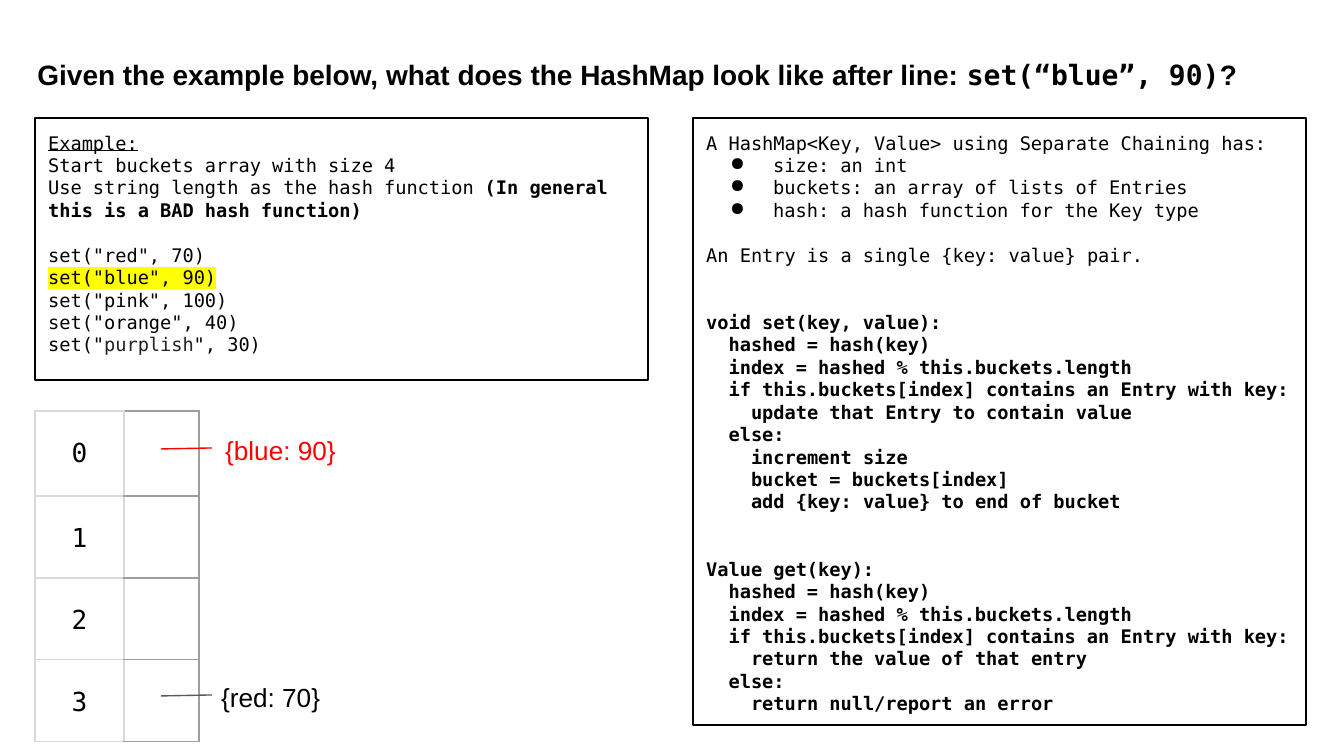
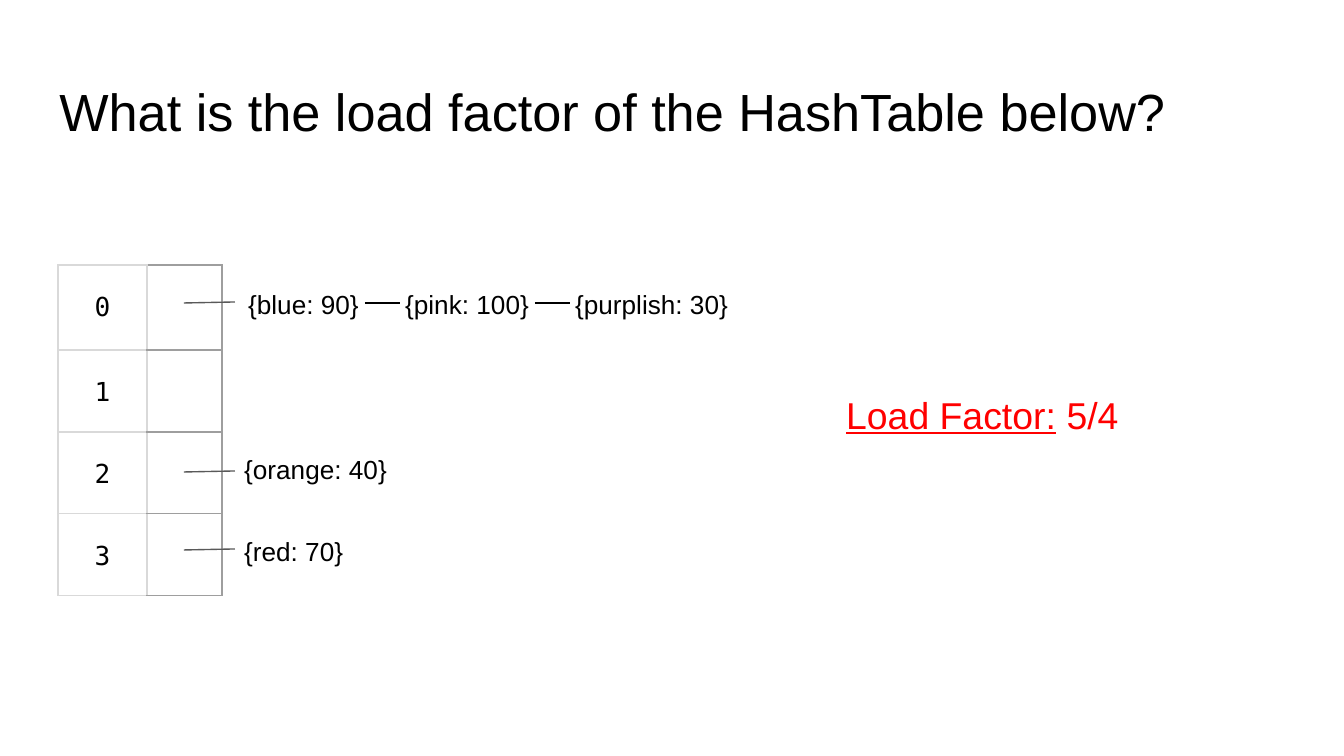
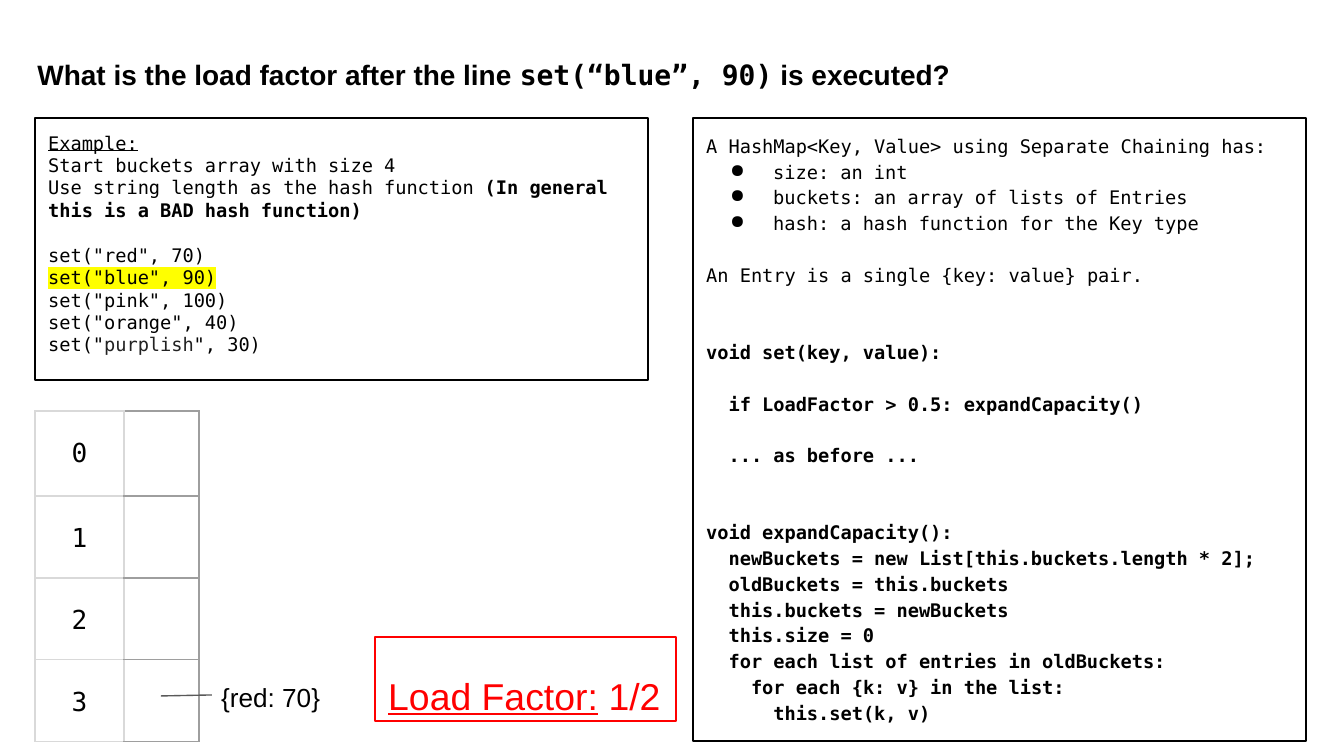
from lxml import etree
from pptx import Presentation, util as u
from pptx.dml.color import RGBColor
from pptx.enum import shapes, text
from pptx.oxml.ns import qn

PX = 914400 / 134.4
COLORS = {"ink": "000000", "red": "FF0000", "soft": "222222", "pointer": "595959",
          "grid": "D9D9D9", "edge": "9E9E9E", "mark": "FFFF00"}
SANS, MONO = "Arial", "DejaVu Sans Mono"
INSET = 13.44
CHAR = 11.2  # width of one code character
BULLET = "\u25cf"
ROW_HEIGHTS = [85, 82, 82, 82]
COLUMN_WIDTHS = [89, 75]
# row: drop of the pointer, then left (from the table) and drop of its label
POINTERS = {0: (38, 177, 10), 2: (40, 173, 8), 3: (36, 173, 8)}
CHAIN_LEFTS = [177, 334, 504]

LEFT_BOX = (35, 118, 613, 262)
TABLE_AT = (35, 411)
EXAMPLE = [
    [("Example:", {"underline": True})],
    "Start buckets array with size 4",
    ["Use string length as the hash function ",
     ("(In general this is a BAD hash function)", {"bold": True})],
    "",
    'set("red", 70)',
    [('set("blue", 90)', {"highlight": "mark"})],
    'set("pink", 100)',
    'set("orange", 40)',
    ['set("', ("purplish", {"color": "soft"}), '", 30)'],
]
HASHMAP_NOTES = f"""A HashMap<Key, Value> using Separate Chaining has:
{BULLET}size: an int
{BULLET}buckets: an array of lists of Entries
{BULLET}hash: a hash function for the Key type

An Entry is a single {{key: value}} pair.""".splitlines()
SET_AND_GET = """

void set(key, value):
  hashed = hash(key)
  index = hashed % this.buckets.length
  if this.buckets[index] contains an Entry with key:
    update that Entry to contain value
  else:
    increment size
    bucket = buckets[index]
    add {key: value} to end of bucket


Value get(key):
  hashed = hash(key)
  index = hashed % this.buckets.length
  if this.buckets[index] contains an Entry with key:
    return the value of that entry
  else:
    return null/report an error"""
SET_AND_EXPAND = """

void set(key, value):

  if LoadFactor > 0.5: expandCapacity()

  ... as before ...


void expandCapacity():
  newBuckets = new List[this.buckets.length * 2];
  oldBuckets = this.buckets
  this.buckets = newBuckets
  this.size = 0
  for each list of entries in oldBuckets:
    for each {k: v} in the list:
      this.set(k, v)"""


def px(length):
    """Turn pixels into EMU."""
    return u.Emu(round(length * PX))


def rgb(name):
    """Look up a colour by name."""
    return RGBColor.from_string(COLORS[name])


def add_run(paragraph, words, size=14, font=SANS, color="ink", bold=False,
            underline=False, highlight=None):
    """Append one formatted run."""
    run = paragraph.add_run()
    run.text = words
    run.font.size, run.font.name = u.Pt(size), font
    run.font.bold, run.font.underline = bold, underline
    run.font.color.rgb = rgb(color)
    if highlight:
        mark = etree.Element(qn("a:highlight"))
        etree.SubElement(mark, qn("a:srgbClr"), val=COLORS[highlight])
        run.font._element.find(qn("a:latin")).addprevious(mark)


def add_bullet(paragraph):
    """Give a paragraph a hanging round bullet."""
    props = paragraph._p.get_or_add_pPr()
    props.set("marL", str(px(67)))
    props.set("indent", str(px(-43)))
    tint = etree.SubElement(props, qn("a:buClr"))
    etree.SubElement(tint, qn("a:srgbClr"), val=COLORS["ink"])
    etree.SubElement(props, qn("a:buChar"), char=BULLET)


def write(frame, lines, spacing=1.0, align=text.PP_ALIGN.LEFT, **style):
    """Fill a frame; empty lines become space before, leading blanks an indent."""
    frame.word_wrap = True
    frame.auto_size = text.MSO_AUTO_SIZE.NONE
    frame.vertical_anchor = text.MSO_ANCHOR.TOP
    frame.margin_left = frame.margin_right = px(INSET)
    frame.margin_top = frame.margin_bottom = px(INSET)
    paragraph, gap = None, 0
    for line in lines:
        if not line:
            gap += 12 * spacing
            continue
        paragraph = frame.add_paragraph() if paragraph else frame.paragraphs[0]
        paragraph.alignment = align
        paragraph.line_spacing = spacing
        paragraph.space_before = u.Pt(gap)
        gap = 0
        runs = [line] if isinstance(line, (str, tuple)) else line
        runs = [(run, {}) if isinstance(run, str) else run for run in runs]
        first = runs[0][0]
        if first.startswith(BULLET):
            add_bullet(paragraph)
            runs = [(first[1:], runs[0][1])]
        elif len(runs) == 1 and first.startswith(" "):
            code = first.lstrip()
            depth = len(first) - len(code)
            paragraph._p.get_or_add_pPr().set("marL", str(px(depth * CHAR)))
            runs = [(code, runs[0][1])]
        for words, extra in runs:
            add_run(paragraph, words, **{**style, **extra})


def add_title(slide, box, runs, **style):
    """Place and format the title placeholder."""
    title = slide.shapes.title
    title.left, title.top, title.width, title.height = map(px, box)
    write(title.text_frame, [runs], **style)


def add_label(slide, box, lines, **style):
    """Add a plain text box."""
    label = slide.shapes.add_textbox(*map(px, box))
    write(label.text_frame, lines, **style)


def add_panel(slide, box, lines, outline="ink", **style):
    """Add an outlined rectangle with text."""
    panel = slide.shapes.add_shape(shapes.MSO_SHAPE.RECTANGLE, *map(px, box))
    panel.shadow.inherit = False
    panel.fill.background()
    panel.line.color.rgb, panel.line.width = rgb(outline), u.Pt(0.75)
    write(panel.text_frame, lines, **style)


def add_line(slide, start, end, color):
    """Draw a thin straight line."""
    line = slide.shapes.add_connector(shapes.MSO_CONNECTOR.STRAIGHT,
                                      *map(px, (*start, *end)))
    line.line.color.rgb, line.line.width = rgb(color), u.Pt(0.75)
    etree.SubElement(line._element.spPr, qn("a:effectLst"))


def set_borders(cell, **sides):
    """Colour the cell's borders, given in the order L, R, T, B."""
    props = cell._tc.get_or_add_tcPr()
    for place, (side, color) in enumerate(sides.items()):
        border = etree.Element(qn(f"a:ln{side}"), w=str(u.Pt(0.75)))
        fill = etree.SubElement(border, qn("a:solidFill"))
        etree.SubElement(fill, qn("a:srgbClr"), val=COLORS[color])
        props.insert(place, border)


def add_buckets(slide, origin, entries):
    """Draw the bucket table; entries maps a row to (labels, text, line colour)."""
    left, top = origin
    frame = slide.shapes.add_table(len(ROW_HEIGHTS), 2, px(left), px(top),
                                   px(sum(COLUMN_WIDTHS)), px(sum(ROW_HEIGHTS)))
    table = frame.table
    table.first_row = table.horz_banding = False
    for column, width in zip(table.columns, COLUMN_WIDTHS):
        column.width = px(width)
    for index, height in enumerate(ROW_HEIGHTS):
        table.rows[index].height = px(height)
        number, bucket = table.cell(index, 0), table.cell(index, 1)
        for cell, edge in ((number, "grid"), (bucket, "edge")):
            cell.fill.background()
            set_borders(cell, L="grid", R=edge if cell is bucket else "grid",
                        T=edge, B=edge)
        paragraph = number.text_frame.paragraphs[0]
        paragraph.alignment = text.PP_ALIGN.CENTER
        add_run(paragraph, str(index), font=MONO)
        number.margin_left = number.margin_right = px(INSET)
        number.margin_top, number.margin_bottom = px(2 * INSET), px(INSET)

    for row, (labels, color, line_color) in entries.items():
        row_top = top + sum(ROW_HEIGHTS[:row])
        drop, label_left, label_drop = POINTERS[row]
        line_y = row_top + drop
        add_line(slide, (left + 126, line_y), (left + 177, line_y - 1), line_color)
        lefts = [label_left] + CHAIN_LEFTS[1:]
        for place, (label, offset) in enumerate(zip(labels, lefts)):
            x = left + offset
            add_label(slide, (x, row_top + label_drop, 203, 47), [label], color=color)
            if place:
                add_line(slide, (x - 27, line_y), (x + 8, line_y), "ink")


def load_factor(value):
    """Return the line that states a load factor."""
    return [[("Load Factor:", {"underline": True}), f" {value}"]]


def add_code_slide(deck, title, code, panel_height, spacing, entries):
    """Build a slide with the example, the buckets and the code side by side."""
    slide = deck.slides.add_slide(deck.slide_layouts[5])
    add_title(slide, (24, 39, 1305, 74), title, size=15, bold=True, spacing=1.15)
    code_lines = [line and (line, {"bold": True}) for line in code.splitlines()]
    add_panel(slide, (693, 118, 613, panel_height), HASHMAP_NOTES + code_lines,
              size=10, font=MONO, spacing=spacing)
    add_panel(slide, LEFT_BOX, EXAMPLE, size=10, font=MONO)
    add_buckets(slide, TABLE_AT, entries)
    return slide


def add_question_slide(deck):
    """Build the slide that asks for the load factor of a full table."""
    slide = deck.slides.add_slide(deck.slide_layouts[5])
    add_title(slide, (46, 66, 1252, 84),
              ["What is the load factor of the HashTable below?"], size=28)
    add_buckets(slide, (58, 265), {
        0: (["{blue: 90}", "{pink: 100}", "{purplish: 30}"], "ink", "pointer"),
        2: (["{orange: 40}"], "ink", "pointer"),
        3: RED_ENTRY})
    add_label(slide, (833, 356, 343, 84), load_factor("5/4"),
              size=20, color="red", spacing=1.5)


RED_ENTRY = (["{red: 70}"], "ink", "pointer")
SET_BLUE = ("set(\u201cblue\u201d, 90)", {"font": MONO})

deck = Presentation()
deck.slide_width, deck.slide_height = px(1344), px(756)

add_code_slide(
    deck, ["Given the example below, what does the HashMap look like after line: ",
           SET_BLUE, "?"],
    SET_AND_GET, 607, 1.0,
    {0: (["{blue: 90}"], "red", "red"), 3: RED_ENTRY})
add_question_slide(deck)
expanding = add_code_slide(
    deck, ["What is the load factor after the line ", SET_BLUE, " is executed?"],
    SET_AND_EXPAND, 623, 1.15, {3: RED_ENTRY})
add_panel(expanding, (375, 637, 301, 84), load_factor("1/2"), outline="red",
          size=20, color="red", spacing=1.5)

deck.save("out.pptx")
